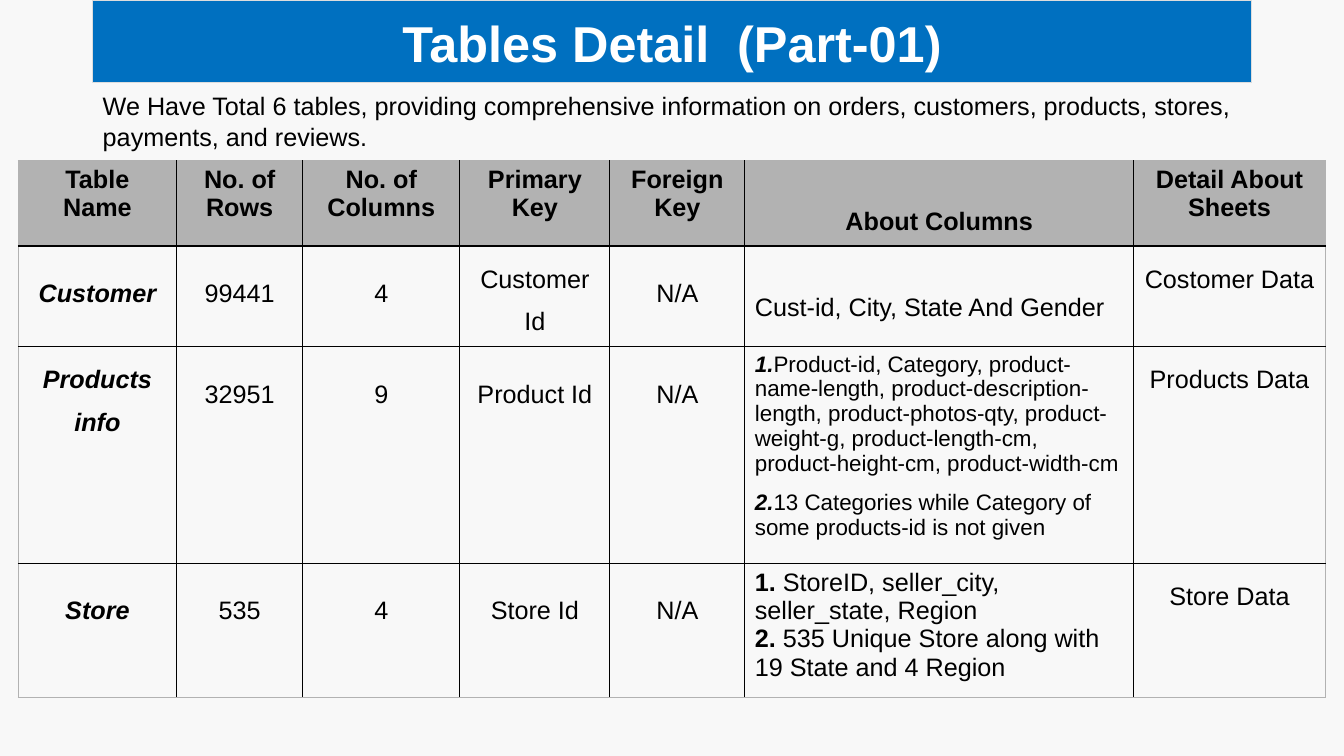
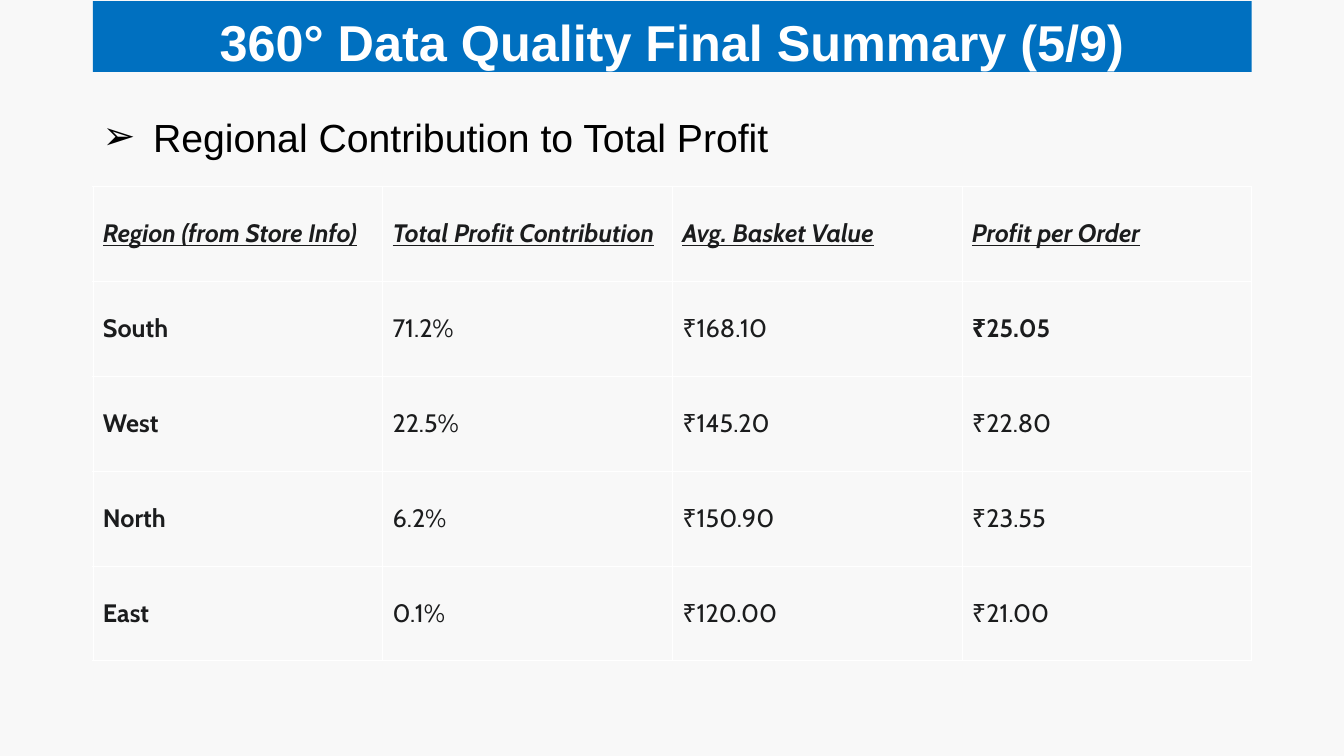
from lxml import etree
from pptx import Presentation
from pptx.dml.color import RGBColor
from pptx.enum.text import MSO_ANCHOR, PP_ALIGN
from pptx.oxml.ns import qn
from pptx.util import Cm, Pt

CENTER, LEFT = PP_ALIGN.CENTER, PP_ALIGN.LEFT
BOTTOM, MIDDLE, TOP = MSO_ANCHOR.BOTTOM, MSO_ANCHOR.MIDDLE, MSO_ANCHOR.TOP
COLORS = {
    "background": "F8F8F8",
    "band": "0070C0",
    "band_line": "DDDDDD",
    "header": "B2B2B2",
    "black": "000000",
    "ink": "1B1C1D",
    "white": "FFFFFF",
}
BAND_LEFT, BAND_WIDTH = 2.34, 29.2


def add_text(paragraph, text, size=18, font="Arial", color="black", bold=False,
             italic=False, underline=False, align=LEFT, spacing=1.0):
    paragraph.alignment = align
    paragraph.line_spacing = spacing
    run = paragraph.add_run()
    run.text = text
    run.font.size = Pt(size)
    run.font.name = font
    run.font.bold = bold
    run.font.italic = italic
    run.font.underline = underline
    run.font.color.rgb = RGBColor.from_string(COLORS[color])


def add_grid(slide, left, top, widths, heights, inner, outer):
    table = slide.shapes.add_table(len(heights), len(widths), Cm(left), Cm(top),
                                   Cm(sum(widths)), Cm(sum(heights))).table
    for column, width in zip(table.columns, widths):
        column.width = Cm(width)
    for row, height in zip(table.rows, heights):
        row.height = Cm(height)
    last_row, last_column = len(heights) - 1, len(widths) - 1
    for r, row in enumerate(table.rows):
        for c, cell in enumerate(row.cells):
            cell.fill.background()
            properties = cell._tc.get_or_add_tcPr()
            edges = {"L": c == 0, "R": c == last_column, "T": r == 0, "B": r == last_row}
            for position, (side, is_outer) in enumerate(edges.items()):
                color, weight = outer if is_outer else inner
                line = etree.Element(qn(f"a:ln{side}"), w=str(int(Pt(weight))))
                fill = etree.SubElement(line, qn("a:solidFill"))
                etree.SubElement(fill, qn("a:srgbClr"), val=COLORS[color])
                properties.insert(position, line)
    return table


presentation = Presentation()
presentation.slide_width = Cm(33.87)
presentation.slide_height = Cm(19.05)
background = presentation.slide_master.background.fill
background.solid()
background.fore_color.rgb = RGBColor.from_string(COLORS["background"])

slides = []
for title_text, top, height, bottom_margin in (
    ("Tables Detail  (Part-01)", 0, 2.08, 0.25),
    ("360° Data Quality Final Summary (5/9)", 0.03, 1.78, 0),
):
    slide = presentation.slides.add_slide(presentation.slide_layouts[5])
    title = slide.shapes.title
    title.left, title.top = Cm(BAND_LEFT), Cm(top)
    title.width, title.height = Cm(BAND_WIDTH), Cm(height)
    title.fill.solid()
    title.fill.fore_color.rgb = RGBColor.from_string(COLORS["band"])
    frame = title.text_frame
    frame.vertical_anchor = BOTTOM
    frame.margin_left = frame.margin_right = frame.margin_top = Cm(0.25)
    frame.margin_bottom = Cm(bottom_margin)
    add_text(frame.paragraphs[0], title_text, size=36, color="white", bold=True, align=CENTER)
    slides.append(slide)
tables_slide, summary_slide = slides

band_line = tables_slide.shapes.title.line
band_line.color.rgb = RGBColor.from_string(COLORS["band_line"])
band_line.width = Pt(0.75)

intro = tables_slide.shapes.add_textbox(Cm(BAND_LEFT), Cm(2.16), Cm(BAND_WIDTH), Cm(1.8))
intro.text_frame.word_wrap = True
add_text(intro.text_frame.paragraphs[0],
         "We Have Total 6 tables, providing comprehensive information on orders, "
         "customers, products, stores, payments, and reviews.")

table_details = [
    ["Table Name", "No. of Rows", "No. of Columns", "Primary Key", "Foreign Key",
     "About Columns", "Detail About Sheets"],
    ["Customer", "99441", "4", "Customer Id", "N/A",
     "Cust-id, City, State And Gender", "Costomer Data"],
    ["Products info", "32951", "9", "Product Id", "N/A", "", "Products Data"],
    ["Store", "535", "4", "Store Id", "N/A", "", "Store Data"],
]
line_spacings = [
    [1, 1, 1, 1, 1, 2.5, 1],
    [2, 2, 2, 1.5, 2, 2.5, 1.5],
    [1.5, 2, 2, 2, 2, 1, 1.5],
    [2, 2, 2, 2, 2, 1, 1.5],
]
ABOUT = 5
details = add_grid(tables_slide, 0.46, 4.04, [3.99, 3.18, 3.96, 3.78, 3.4, 9.8, 4.83],
                   [1.98, 2.44, 5.46, 3.36], ("black", 1), ("header", 0.5))
for r, (texts, spacings) in enumerate(zip(table_details, line_spacings)):
    for c, (text, spacing) in enumerate(zip(texts, spacings)):
        cell = details.cell(r, c)
        cell.vertical_anchor = TOP
        if r == 0:
            cell.fill.solid()
            cell.fill.fore_color.rgb = RGBColor.from_string(COLORS["header"])
        if text:
            add_text(cell.text_frame.paragraphs[0], text, bold=r == 0 or c == 0,
                     italic=r > 0 and c == 0, spacing=spacing,
                     align=LEFT if r > 0 and c == ABOUT else CENTER)

numbered_notes = [
    (2, 16, True, 10, [
        ("1.", "Product-id, Category, product-name-length, product-description-length, "
               "product-photos-qty, product-weight-g, product-length-cm, "
               "product-height-cm, product-width-cm"),
        ("2.", "13 Categories while Category of some products-id is not given"),
    ]),
    (3, 18, False, 0, [
        ("1. ", "StoreID, seller_city, seller_state, Region"),
        ("2. ", "535 Unique Store along with 19 State and 4 Region"),
    ]),
]
for r, size, italic, gap, notes in numbered_notes:
    frame = details.cell(r, ABOUT).text_frame
    for index, (number, note) in enumerate(notes):
        paragraph = frame.add_paragraph() if index else frame.paragraphs[0]
        if index:
            paragraph.space_before = Pt(gap)
        add_text(paragraph, number, size=size, bold=True, italic=italic)
        add_text(paragraph, note, size=size)

heading = summary_slide.shapes.add_textbox(Cm(BAND_LEFT), Cm(2.72), Cm(BAND_WIDTH), Cm(1.45))
heading.text_frame.word_wrap = True
paragraph = heading.text_frame.paragraphs[0]
properties = paragraph._p.get_or_add_pPr()
properties.set("marL", str(int(Cm(1.27))))
properties.set("indent", str(int(Cm(-1.27))))
etree.SubElement(properties, qn("a:buFont"), typeface="Arial")
etree.SubElement(properties, qn("a:buChar"), char="➢")
add_text(paragraph, "Regional Contribution to Total Profit", size=28)

regions = [
    ["Region (from Store Info)", "Total Profit Contribution", "Avg. Basket Value",
     "Profit per Order"],
    ["South", "71.2%", "₹168.10", "₹25.05"],
    ["West", "22.5%", "₹145.20", "₹22.80"],
    ["North", "6.2%", "₹150.90", "₹23.55"],
    ["East", "0.1%", "₹120.00", "₹21.00"],
]
BEST_PROFIT = (1, 3)
summary = add_grid(summary_slide, BAND_LEFT, 4.7, [BAND_WIDTH / 4] * 4, [2.39] * 5,
                   ("white", 0.6), ("white", 0.6))
for r, texts in enumerate(regions):
    for c, text in enumerate(texts):
        cell = summary.cell(r, c)
        cell.vertical_anchor = MIDDLE
        cell.margin_top = cell.margin_bottom = Cm(0.18)
        add_text(cell.text_frame.paragraphs[0], text, font="Cabin", color="ink",
                 bold=r == 0 or c == 0 or (r, c) == BEST_PROFIT,
                 italic=r == 0, underline=r == 0)

presentation.save("out.pptx")
